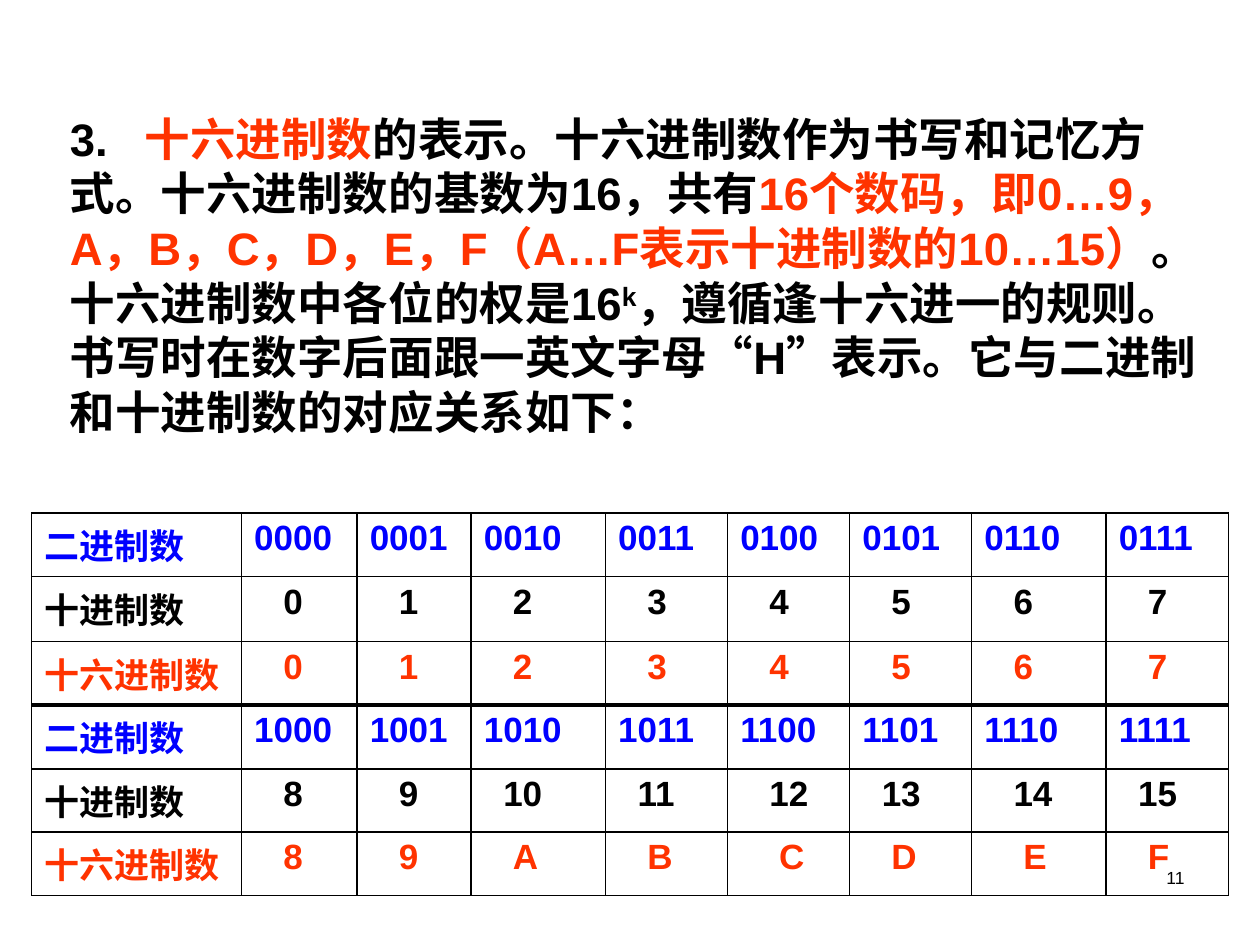
import pptx
import pptx.util
import pptx.dml.color
import pptx.enum.text
import pptx.oxml

Cm, Pt = pptx.util.Cm, pptx.util.Pt
HUES = {"ink": "000000", "red": "FF3300", "blue": "0000FF"}
FACE, QUOTE = "Arial", "DejaVu Sans"

BODY = [
    ("3.\t", "ink", FACE),
    ("十六进制数", "red", FACE),
    ("的表示。十六进制数作为书写和记忆方式。十六进制数的基数为16，共有", "ink", FACE),
    ("16个数码，即0…9，A，B，C，D，E，F（A…F表示十进制数的10…15）", "red", FACE),
    ("。十六进制数中各位的权是16", "ink", FACE),
    ("k", "ink", FACE),
    ("，遵循逢十六进一的规则。书写时在数字后面跟一英文字母", "ink", FACE),
    ("“", "ink", QUOTE),
    ("H", "ink", FACE),
    ("”", "ink", QUOTE),
    ("表示。它与二进制和十进制数的对应关系如下：", "ink", FACE),
]
KINDS = [("二进制数", "04b", "blue"), ("十进制数", "d", "ink"), ("十六进制数", "X", "red")]
COLS = [4.23, 2.33, 2.3, 2.71, 2.46, 2.46, 2.46, 2.71, 2.47]
ROWS = [1.28, 1.31, 1.28, 1.29, 1.27, 1.28]
SPACE = 5.56
SHIFTS = {"10": 2, "11": 2, "13": 2, "15": 2, "C": 4, "E": 4}
THIN, THICK = 1, 3


def paint(font, hue):
    font.color.rgb = pptx.dml.color.RGBColor.from_string(HUES[hue])


def style(font, size, bold, hue=None):
    font.name, font.size, font.bold = FACE, Pt(size), bold
    if hue:
        paint(font, hue)


def node(text):
    head, tail = text.split(" ", 1)
    return pptx.oxml.parse_xml(
        f'<a:{head} xmlns:a="http://schemas.openxmlformats.org/drawingml/2006/main" {tail}')


def edge(cell, top, base):
    props = cell._tc.get_or_add_tcPr()
    for i, (side, wide) in enumerate(zip("LRTB", (THIN, THIN, top, base))):
        props.insert(i, node(
            f'ln{side} w="{Pt(wide)}"><a:solidFill><a:srgbClr val="{HUES["ink"]}"/>'
            f'</a:solidFill></a:ln{side}>'))


def add_page(slide):
    box = slide.shapes.add_textbox(Cm(18.21), Cm(17.35), Cm(5.92), Cm(1.27))
    box.text_frame.word_wrap = True
    para = box.text_frame.paragraphs[0]
    para.text = "11"
    para.alignment = pptx.enum.text.PP_ALIGN.RIGHT
    style(para.font, 10, False, "ink")


def add_body(slide):
    box = slide.shapes.add_textbox(Cm(0.2), Cm(2.11), Cm(24.77), Cm(12.5))
    frame = box.text_frame
    frame.word_wrap = True
    frame.margin_left = Cm(1.21)
    para = frame.paragraphs[0]
    props = para._p.get_or_add_pPr()
    props.set("hangingPunct", "0")
    props.append(node(f'tabLst ><a:tab pos="{Cm(1.51)}" algn="l"/></a:tabLst>'))
    style(para.font, 26, True)
    for text, hue, face in BODY:
        run = para.add_run()
        run.text = text
        paint(run.font, hue)
        if face != FACE:
            run.font.name = face
        if text == "k":
            run.font._element.set("baseline", "30000")


def add_grid(slide):
    rows = [(name, form, hue, start) for start in (0, 8) for name, form, hue in KINDS]
    half = len(KINDS)
    grid = slide.shapes.add_table(
        len(rows), len(COLS), Cm(0.64), Cm(10.34), Cm(sum(COLS)), Cm(sum(ROWS))).table
    grid.first_row = grid.horz_banding = False
    for col, wide in zip(grid.columns, COLS):
        col.width = Cm(wide)
    for r, (name, form, hue, start) in enumerate(rows):
        grid.rows[r].height = Cm(ROWS[r])
        texts = [name] + [format(n, form) for n in range(start, start + 8)]
        for c, text in enumerate(texts):
            cell = grid.cell(r, c)
            cell.fill.background()
            edge(cell, THICK if r == half else THIN, THICK if r == half - 1 else THIN)
            para = cell.text_frame.paragraphs[0]
            para.text = text
            if c and form != "04b":
                inset = Pt(SHIFTS.get(text, 3) * SPACE)
                para._p.get_or_add_pPr().set("marL", str(inset))
            style(para.font, 20, True, hue)


def main():
    deck = pptx.Presentation()
    deck.slide_width, deck.slide_height = Cm(25.4), Cm(19.05)
    slide = deck.slides.add_slide(deck.slide_layouts[6])
    add_page(slide)
    add_body(slide)
    add_grid(slide)
    deck.save("out.pptx")


if __name__ == "__main__":
    main()
